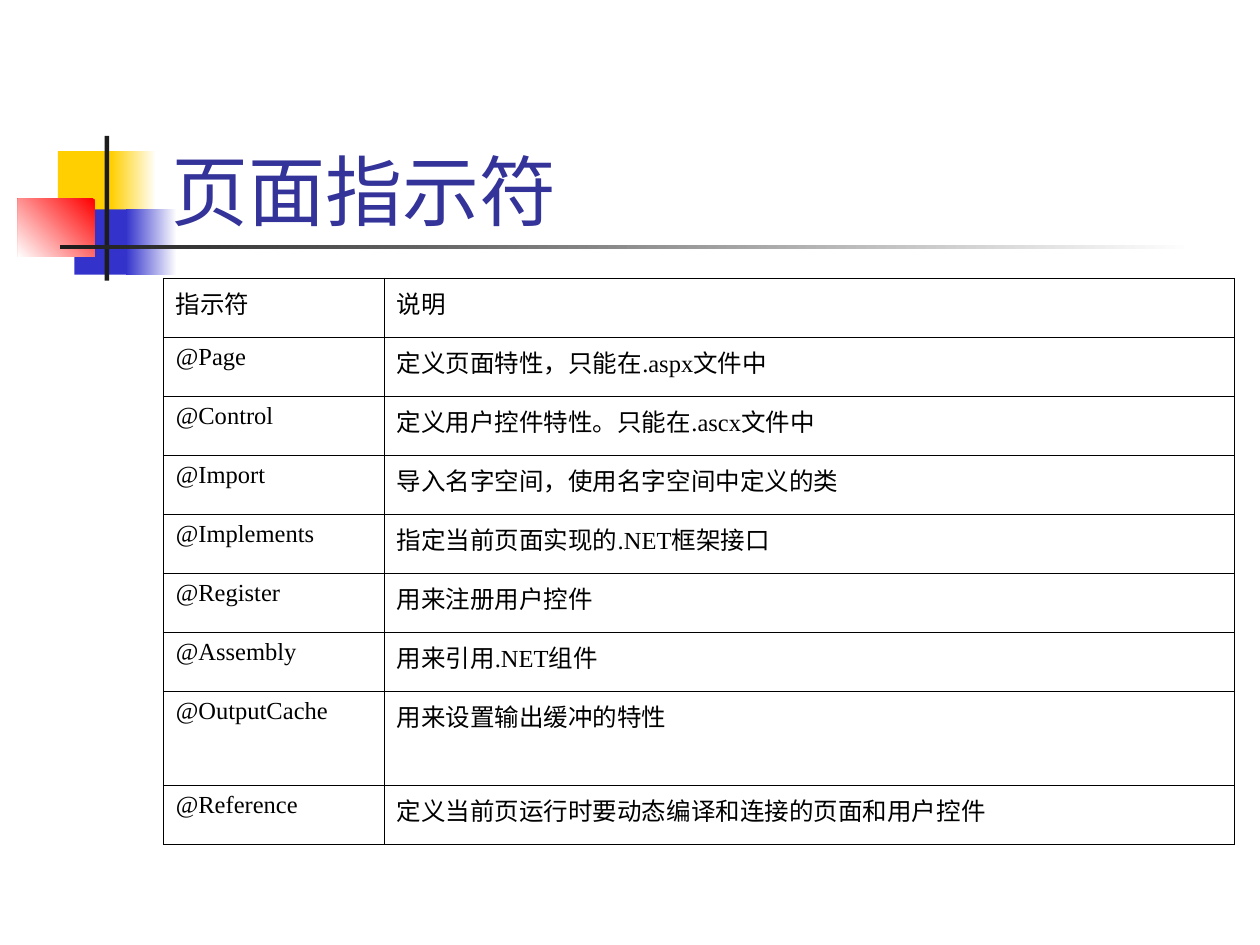
from lxml import etree
from pptx import Presentation
from pptx import util as u
from pptx.dml.color import RGBColor
from pptx.enum import shapes, text
from pptx.oxml.ns import qn

TITLE = "页面指示符"
ROWS = [
    ("指示符", "说明"),
    ("@Page", "定义页面特性，只能在.aspx文件中"),
    ("@Control", "定义用户控件特性。只能在.ascx文件中"),
    ("@Import", "导入名字空间，使用名字空间中定义的类"),
    ("@Implements", "指定当前页面实现的.NET框架接口"),
    ("@Register", "用来注册用户控件"),
    ("@Assembly", "用来引用.NET组件"),
    ("@OutputCache", "用来设置输出缓冲的特性"),
    ("@Reference", "定义当前页运行时要动态编译和连接的页面和用户控件"),
]
ROW_HEIGHT, TALL_ROW_HEIGHT, TALL_ROW = 1.19, 1.9, 7
NAME_COLUMN = 4.45
HANGING = u.Cm(0.97)

WHITE, YELLOW, BLUE, RED, INK = "FFFFFF", "FFCF01", "3333CC", "FF0000", "1C1C1C"
# Left, top, width, height in cm, then one colour, or (from, to, clockwise angle)
ORNAMENT = [
    (0.81, 0.31, 1.22, 1.32, YELLOW),
    (1.88, 0.31, 0.91, 1.32, (WHITE, YELLOW, 180)),
    (1.14, 1.48, 1.17, 1.32, BLUE),
    (2.18, 1.48, 1.02, 1.32, (WHITE, BLUE, 180)),
    (0, 1.27, 1.55, 1.17, (RED, WHITE, 135)),
    (1.75, 0, 0.09, 2.92, INK),
    (0.86, 2.2, 22.86, 0.09, (WHITE, INK, 180)),
]


def rgb(value):
    return RGBColor.from_string(value)


def paint(fill, colour):
    if isinstance(colour, str):
        fill.solid()
        fill.fore_color.rgb = rgb(colour)
        return
    *ends, angle = colour
    fill.gradient()
    fill.gradient_angle = 360 - angle
    for stop, end in zip(fill.gradient_stops, ends):
        stop.color.rgb = rgb(end)


def add_run(p, content, font, size, colour):
    r = p.add_run()
    r.text = content
    r.font.name, r.font.size = font, u.Pt(size)
    r.font.color.rgb = rgb(colour)


def add_ornament(s, left, top):
    for x, y, width, height, colour in ORNAMENT:
        sp = s.shapes.add_shape(shapes.MSO_SHAPE.RECTANGLE, u.Cm(left + x),
                                u.Cm(top + y), u.Cm(width), u.Cm(height))
        sp.shadow.inherit = False
        sp.line.fill.background()
        paint(sp.fill, colour)


def set_title(s, left, top, width, height):
    sp = s.shapes.title
    sp.left, sp.top, sp.width, sp.height = map(u.Cm, (left, top, width, height))
    s.shapes._spTree.append(sp._element)  # in front of the ornament
    tf = sp.text_frame
    tf.word_wrap = True
    tf.auto_size = text.MSO_AUTO_SIZE.NONE
    tf.vertical_anchor = text.MSO_ANCHOR.BOTTOM
    p = tf.paragraphs[0]
    p.alignment = text.PP_ALIGN.LEFT
    add_run(p, TITLE, "Lato", 44, "333399")


def outline_cell(cell, colour, points):
    tc_pr = cell._tc.get_or_add_tcPr()
    for side in ("lnL", "lnR", "lnT", "lnB"):
        ln = etree.SubElement(tc_pr, qn(f"a:{side}"), w=str(u.Pt(points)))
        fill = etree.SubElement(ln, qn("a:solidFill"))
        etree.SubElement(fill, qn("a:srgbClr"), val=colour)


def fill_cell(cell, content):
    outline_cell(cell, "000000", 0.45)
    cell.fill.background()
    p = cell.text_frame.paragraphs[0]
    p_pr = p._p.get_or_add_pPr()
    p_pr.set("marL", str(HANGING))
    p_pr.set("indent", str(-HANGING))
    add_run(p, content, "Times New Roman", 14, "000000")


def add_directives(s, left, top, width):
    heights = [TALL_ROW_HEIGHT if i == TALL_ROW else ROW_HEIGHT
               for i in range(len(ROWS))]
    table = s.shapes.add_table(len(ROWS), 2, u.Cm(left), u.Cm(top),
                               u.Cm(width), u.Cm(sum(heights))).table
    table.first_row = table.horz_banding = False
    for column, size in zip(table.columns, (NAME_COLUMN, width - NAME_COLUMN)):
        column.width = u.Cm(size)
    for row, height, contents in zip(table.rows, heights, ROWS):
        row.height = u.Cm(height)
        for cell, content in zip(row.cells, contents):
            fill_cell(cell, content)


def main():
    prs = Presentation()
    prs.slide_width, prs.slide_height = u.Cm(25.4), u.Cm(19.05)
    s = prs.slides.add_slide(prs.slide_layouts[5])
    add_ornament(s, 0.36, 2.74)
    set_title(s, 3.2, 1.7, 21.64, 3.18)
    add_directives(s, 3.29, 5.61, 21.59)
    prs.save("out.pptx")


if __name__ == "__main__":
    main()
